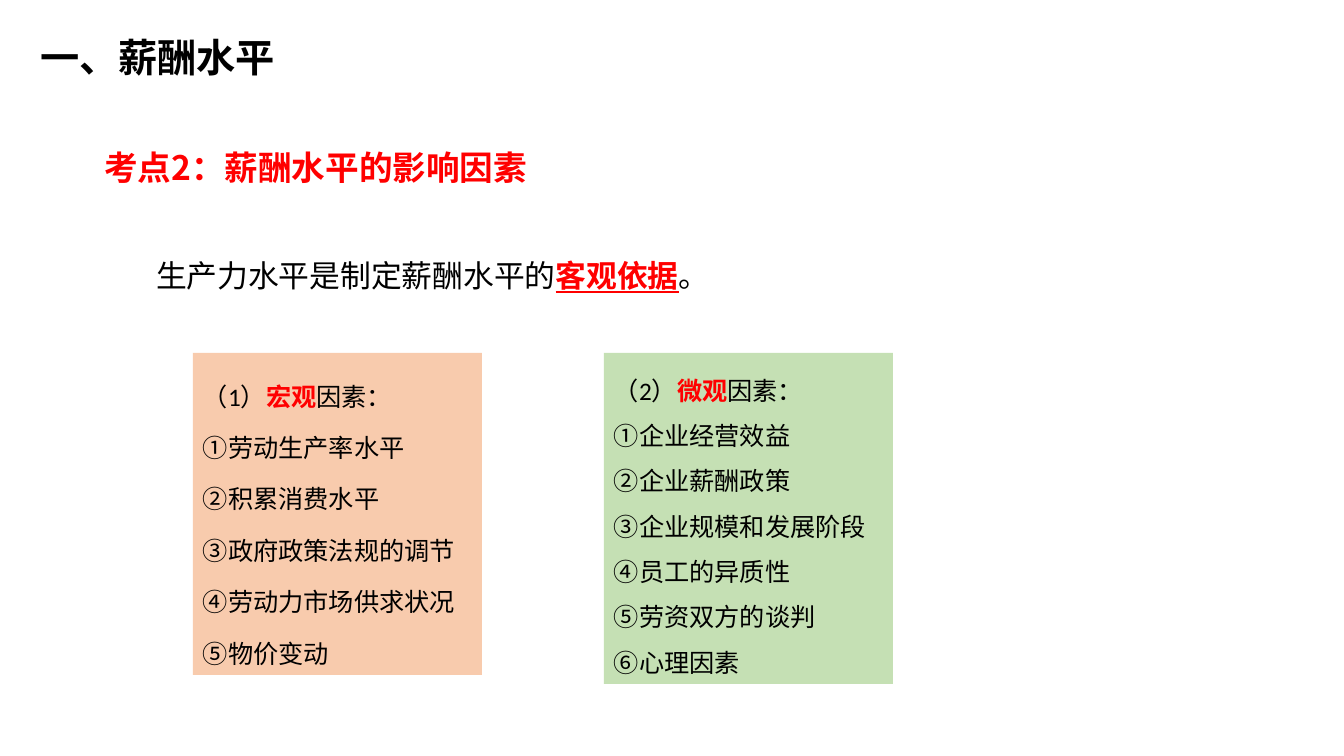
from lxml.etree import SubElement
from pptx import Presentation
from pptx.dml.color import RGBColor
from pptx.enum.shapes import MSO_SHAPE
from pptx.enum.text import MSO_ANCHOR, MSO_AUTO_SIZE, PP_ALIGN
from pptx.oxml.ns import qn
from pptx.util import Pt

COLORS = {"text": "000000", "key": "FF0000", "macro": "F8CBAD", "micro": "C5E0B4"}
HEADING = "一、薪酬水平"
TOPIC = "考点2：薪酬水平的影响因素"
PREMISE = ("生产力水平是制定薪酬水平的", "客观依据", "。")
FACTORS = [
    {"heading": ("（1）", "宏观", "因素："), "fill": "macro", "height": 322, "spacing": 1.7,
     "items": ["①劳动生产率水平", "②积累消费水平", "③政府政策法规的调节",
               "④劳动力市场供求状况", "⑤物价变动"]},
    {"heading": ("（2）", "微观", "因素："), "fill": "micro", "height": 331, "spacing": 1.5,
     "items": ["①企业经营效益", "②企业薪酬政策", "③企业规模和发展阶段",
               "④员工的异质性", "⑤劳资双方的谈判", "⑥心理因素"]},
]
SLIDE_WIDTH, SLIDE_HEIGHT = 1344, 756
PANEL_LEFT, PANEL_TOP, PANEL_WIDTH, PANEL_STEP = 193, 353, 289, 411


def px(length):
    return round(length * 914400 / 100.8)


def rgb(name):
    return RGBColor.from_string(COLORS[name])


def place(box, left, top, width, height):
    box.left, box.top, box.width, box.height = map(px, (left, top, width, height))


def prepare(frame, anchor):
    frame.word_wrap = True
    frame.auto_size = MSO_AUTO_SIZE.NONE
    frame.vertical_anchor = anchor
    frame.margin_left = frame.margin_right = px(10)
    frame.margin_top = frame.margin_bottom = px(5)


def style(paragraph, size, color="text", bold=None, face="Calibri", spacing=1.0):
    paragraph.alignment = PP_ALIGN.LEFT
    paragraph.line_spacing = spacing
    font = paragraph.font
    font.size, font.bold, font.name = Pt(size), bold, face
    font.color.rgb = rgb(color)


def write_emphasis(paragraph, parts, underline=None):
    before, key, after = [paragraph.add_run() for part in parts]
    before.text, key.text, after.text = parts
    key.font.bold = True
    key.font.underline = underline
    key.font.color.rgb = rgb("key")


def indent(paragraph, margin, first_line):
    properties = paragraph._p.get_or_add_pPr()
    properties.set("marL", str(px(margin)))
    properties.set("indent", str(px(first_line)))
    SubElement(properties, qn("a:buNone"))


def add_panel(slide, index, factor):
    panel = slide.shapes.add_shape(MSO_SHAPE.RECTANGLE, 0, 0, 0, 0)
    place(panel, PANEL_LEFT + index * PANEL_STEP, PANEL_TOP, PANEL_WIDTH, factor["height"])
    panel.shadow.inherit = False
    panel.fill.solid()
    panel.fill.fore_color.rgb = rgb(factor["fill"])
    panel.line.fill.background()
    frame = panel.text_frame
    prepare(frame, MSO_ANCHOR.MIDDLE)
    heading = frame.paragraphs[0]
    write_emphasis(heading, factor["heading"])
    style(heading, 18, spacing=factor["spacing"])
    for item in factor["items"]:
        line = frame.add_paragraph()
        line.text = item
        style(line, 18, spacing=factor["spacing"])


def main():
    deck = Presentation()
    deck.slide_width, deck.slide_height = px(SLIDE_WIDTH), px(SLIDE_HEIGHT)
    slide = deck.slides.add_slide(deck.slide_layouts[1])

    heading, topic = slide.placeholders
    place(heading, 30, 28, 672, 57)
    prepare(heading.text_frame, MSO_ANCHOR.MIDDLE)
    heading.text_frame.text = HEADING
    style(heading.text_frame.paragraphs[0], 28, bold=True)

    place(topic, 71, 139, 700, 53)
    prepare(topic.text_frame, MSO_ANCHOR.MIDDLE)
    topic.text_frame.text = TOPIC
    topic_line = topic.text_frame.paragraphs[0]
    indent(topic_line, 23, 0)
    topic_line.space_before = Pt(0)
    style(topic_line, 24, "key", True, "Noto Sans CJK SC", 1.1)

    premise = slide.shapes.add_textbox(0, 0, 0, 0)
    place(premise, 96, 226, 837, 74)
    prepare(premise.text_frame, MSO_ANCHOR.TOP)
    premise_line = premise.text_frame.paragraphs[0]
    write_emphasis(premise_line, PREMISE, underline=True)
    indent(premise_line, 0, 50)
    style(premise_line, 22, spacing=1.7)

    for index, factor in enumerate(FACTORS):
        add_panel(slide, index, factor)

    deck.save("out.pptx")


if __name__ == "__main__":
    main()
